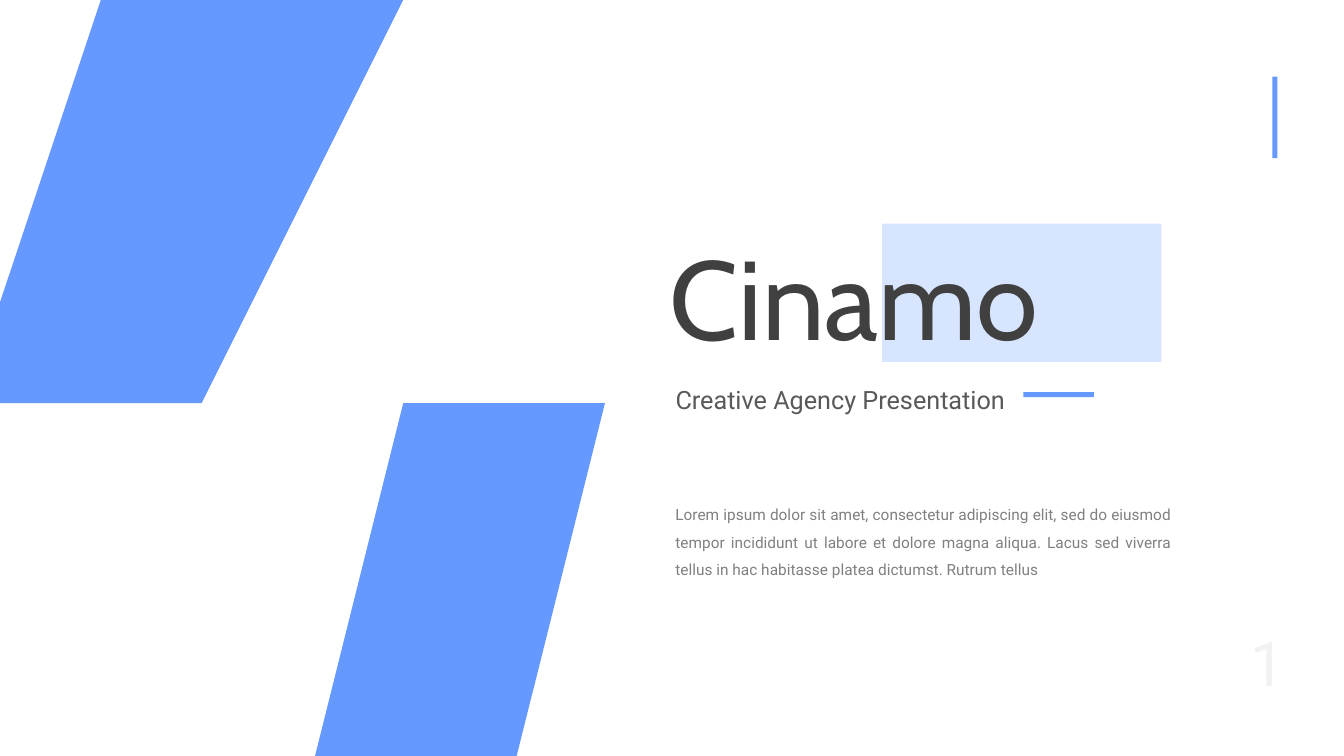
from lxml import etree
from pptx import Presentation
from pptx.dml.color import RGBColor
from pptx.enum.shapes import MSO_SHAPE
from pptx.enum.text import MSO_ANCHOR, MSO_AUTO_SIZE, PP_ALIGN
from pptx.oxml.ns import qn
from pptx.util import Inches, Pt

RECTANGLE = MSO_SHAPE.RECTANGLE
TOP = MSO_ANCHOR.TOP
NO_AUTOFIT = MSO_AUTO_SIZE.NONE
LEFT, RIGHT, JUSTIFY = PP_ALIGN.LEFT, PP_ALIGN.RIGHT, PP_ALIGN.JUSTIFY

WIDTH, HEIGHT = 13.33, 7.5
BLUE = "6699FF"
BODY_FONT = "Roboto"
LOREM = ("Lorem ipsum dolor sit amet, consectetur adipiscing elit, sed do eiusmod "
         "tempor incididunt ut labore et dolore magna aliqua. Lacus sed viverra "
         "tellus in hac habitasse platea dictumst. Rutrum tellus")


def color(value):
    return RGBColor.from_string(value)


def paint(shape, opacity=None):
    """Fill the shape in blue, without outline or shadow; opacity in percent."""
    shape.shadow.inherit = False
    shape.fill.solid()
    shape.fill.fore_color.rgb = color(BLUE)
    shape.line.fill.background()
    if opacity is not None:
        fill = shape._element.spPr.find(qn("a:solidFill"))
        etree.SubElement(fill[0], qn("a:alpha")).set("val", str(opacity * 1000))


def add_bar(slide, left, top, width, height, opacity=None):
    bar = slide.shapes.add_shape(RECTANGLE, *map(Inches, (left, top, width, height)))
    paint(bar, opacity)


def add_band(slide, points):
    builder = slide.shapes.build_freeform(*points[0], scale=Inches(1))
    builder.add_line_segments(points[1:], close=True)
    paint(builder.convert_to_shape())


def set_text(shape, box, text, size, text_color, font=BODY_FONT,
             alignment=JUSTIFY, line_spacing=1.5):
    shape.left, shape.top, shape.width, shape.height = map(Inches, box)
    frame = shape.text_frame
    frame.text = text
    frame.word_wrap = True
    frame.auto_size = NO_AUTOFIT
    frame.vertical_anchor = TOP
    paragraph = frame.paragraphs[0]
    paragraph.alignment = alignment
    paragraph.line_spacing = line_spacing
    paragraph.space_before = Pt(0)
    run_font = paragraph.runs[0].font
    run_font.name = font
    run_font.size = Pt(size)
    run_font.color.rgb = color(text_color)


def add_text_box(slide):
    return slide.shapes.add_textbox(0, 0, Inches(1), Inches(1))


def add_slanted_bands(slide):
    add_band(slide, [(4.01, 4.27), (6.2, 4.27), (4.87, HEIGHT), (2.69, HEIGHT)])
    add_band(slide, [(1.1, 0), (3.53, 0), (1.99, 3.75), (0, 3.75), (0, 2.68)])


def add_heading(slide, left, top, width):
    add_bar(slide, left + 2.15, top, 2.77, 1.37, opacity=25)
    set_text(slide.shapes.title, (left - 0.06, top, width, 1.45), "Cinamo",
             80, "404040", "Cabin", LEFT, 1)
    set_text(slide.placeholders[1], (left, top + 1.39, 3.8, 0.5),
             "Creative Agency Presentation", 18, "595959")
    add_bar(slide, left + 3.55, top + 1.67, 0.7, 0.05)
    set_text(add_text_box(slide), (left, top + 2.65, width, 0.9), LOREM, 11, "808080")


def add_slide_number(slide, box):
    shape = add_text_box(slide)
    set_text(shape, box, "1", 44, "F2F2F2", alignment=RIGHT, line_spacing=1)
    run = shape.text_frame.paragraphs[0].runs[0]._r
    run.tag = qn("a:fld")
    run.set("id", "{B6F15528-21DE-4FAA-801E-634DDDAF4B2B}")
    run.set("type", "slidenum")


def bring_to_front(shape):
    shape._element.getparent().append(shape._element)


def build_cover(presentation):
    slide = presentation.slides.add_slide(presentation.slide_layouts[0])
    add_slanted_bands(slide)
    add_bar(slide, 12.62, 0.76, 0.05, 0.81)
    add_heading(slide, 6.6, 2.22, 5.12)
    for placeholder in list(slide.placeholders):
        bring_to_front(placeholder)
    add_slide_number(slide, (11.85, 6.15, 1, 0.82))


def main():
    presentation = Presentation()
    presentation.slide_width = Inches(WIDTH)
    presentation.slide_height = Inches(HEIGHT)
    build_cover(presentation)
    presentation.save("out.pptx")


if __name__ == "__main__":
    main()
